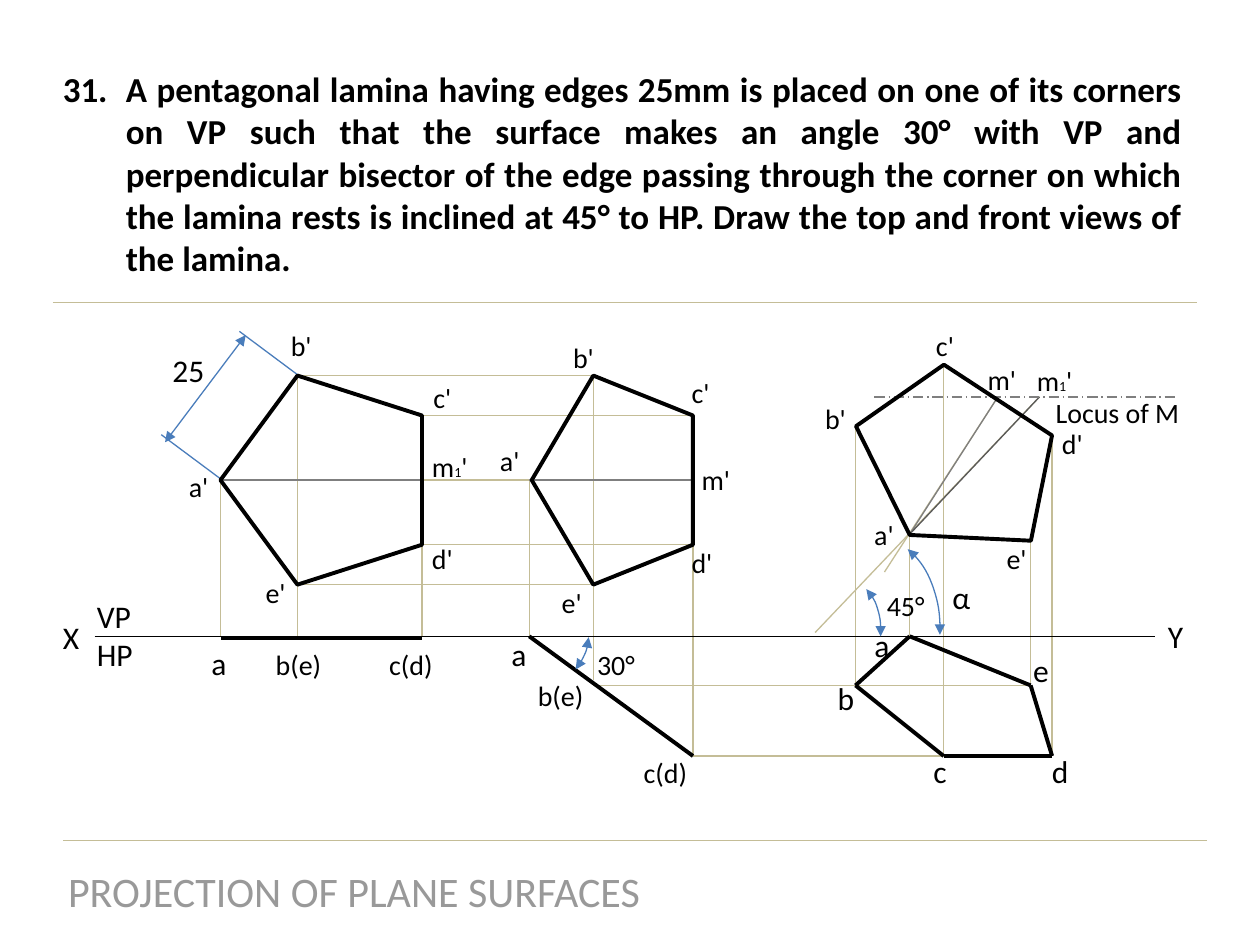
import pptx
import pptx.util
import pptx.dml.color
import pptx.enum.dml
import pptx.enum.shapes
import pptx.enum.text
import pptx.oxml
import pptx.oxml.ns

INCH = pptx.util.Inches
SHAPE = pptx.enum.shapes.MSO_SHAPE
ALIGN = pptx.enum.text.PP_ALIGN
BLACK, TAN, GRAY, DARK, BLUE, TITLE = "000000", "C4BD97", "7F7F7F", "595959", "4A7DBB", "999999"

TITLE_TEXT = "PROJECTION OF PLANE SURFACES"
PROBLEM = (
    "A pentagonal lamina having edges 25mm is placed on one of its corners on VP such that "
    "the surface makes an angle 30° with VP and perpendicular bisector of the edge passing "
    "through the corner on which the lamina rests is inclined at 45° to HP. Draw the top and "
    "front views of the lamina."
)

FLAT = {"a": 1.75, "b": 2.36, "c": 3.35}
TILTED = {"a": 4.2, "b": 4.71, "c": 5.5}
FINAL = {"a": 7.22, "b": 6.79, "c": 7.49, "d": 8.35, "e": 8.18}
FRONT = {"b": 2.98, "c": 3.3, "a": 3.81, "d": 4.32, "e": 4.64}
FINAL_FRONT = {"a": 4.25, "b": 3.38, "c": 2.9, "d": 3.46, "e": 4.29}
TOP = {"a": 5.05, "b": 5.44, "c": 6, "d": 6, "e": 5.44}
XY, LOCUS = 5.05, 3.15

RULES = [(0.42, 2.4, 9.5, 2.4), (0.5, 6.67, 9.58, 6.67)]
PROJECTORS = (
    [(FLAT[k], XY, FLAT[k], FRONT[v]) for k, v in (("a", "a"), ("b", "b"), ("c", "d"))]
    + [(TILTED[k], y, TILTED[k], FRONT[k]) for k, y in (("a", XY), ("b", 5.4), ("c", 6))]
    + [(FLAT[k], FRONT[v], TILTED[k], FRONT[v]) for k, v in ("aa", "bb", "be", "cc", "cd")]
    + [(FINAL[k], TOP[k], FINAL[k], FINAL_FRONT[k]) for k in "abcde"]
    + [(TILTED["b"], TOP["b"], FINAL["e"], TOP["e"]), (TILTED["c"], TOP["c"], FINAL["d"], TOP["d"])]
    + [(7.02, 4.54, 7.92, LOCUS), (6.47, 5.02, 8.25, LOCUS)]
)
BISECTORS = [(v["a"], FRONT["a"], v["c"], FRONT["a"]) for v in (FLAT, TILTED)]
BISECTORS.append((FINAL["a"], 4.24, 7.92, LOCUS))
EDGES = [(FINAL[p], TOP[p], FINAL[q], TOP[q]) for p, q in ("ab", "bc", "cd", "de", "ea")]
EDGES += [(FLAT["a"], 5.06, FLAT["c"], 5.06), (TILTED["a"], XY, TILTED["c"], TOP["c"])]

LINES = [
    (RULES + PROJECTORS, TAN, 0.75, {}),
    ([(0.75, XY, 9.17, XY)], BLACK, 0.75, {}),
    (BISECTORS, GRAY, 0.75, {}),
    ([(FINAL["a"], 4.24, 8.25, LOCUS)], DARK, 0.75, {}),
    ([(6.94, LOCUS, 9.33, LOCUS)], GRAY, 0.75, {"dash": True}),
    ([(1.9, 2.63, 2.37, 2.98), (1.28, 3.45, 1.75, 3.8)], BLUE, 0.75, {}),
    ([(1.95, 2.66, 1.31, 3.51)], BLUE, 0.75, {"arrows": True}),
    (EDGES, BLACK, 2.25, {}),
]
PENTAGONS = [((1.72, 3.01, 1.66, 1.6), 270), ((4.03, 3.17, 1.66, 1.28), 270), ((6.74, 3.07, 1.66, 1.28), 213.2)]
ARCS = [
    ((4.07, 4.79, 0.51, 0.83), 46.1, (291, 338)),
    ((6.48, 4.62, 0.51, 0.83), 3.4, (288, 0.32)),
    ((6.42, 4.27, 1.04, 1.53), 3.4, (288, 357)),
]
LABELS = {
    16: [
        ("a'", 1.4, 3.68), ("b'", 2.21, 2.56), ("c'", 3.34, 2.97), ("d'", 3.33, 4.25), ("e'", 2.01, 4.52),
        ("a'", 3.87, 3.47), ("b'", 4.45, 2.65), ("c'", 5.39, 2.93), ("d'", 5.39, 4.28), ("e'", 4.36, 4.6),
        ("a'", 6.84, 4.06), ("b'", 6.45, 3.14), ("c'", 7.33, 2.56), ("d'", 8.33, 3.34), ("e'", 7.89, 4.25),
        ("b(e)", 2.09, 5.09), ("c(d)", 2.99, 5.09), ("b(e)", 4.17, 5.34), ("c(d)", 5.01, 5.95),
        ("m'", 5.47, 3.62), ("m'", 7.74, 2.83), ("m1'", 3.33, 3.52), ("m1'", 8.13, 2.84),
        ("30°", 4.64, 5.09), ("45°", 6.94, 4.62), ("Locus of M", 8.28, 3.09),
    ],
    18: [
        ("X", 0.4, 4.86), ("Y", 9.17, 4.85), ("VP\nHP", 0.67, 4.69), ("25", 1.27, 2.74), ("α", 7.46, 4.54),
        ("a", 1.58, 5.06), ("a", 3.96, 4.99), ("a", 6.84, 4.92), ("b", 6.55, 5.34), ("c", 7.31, 5.92),
        ("d", 8.25, 5.92), ("e", 8.1, 5.12),
    ],
}
WIDTHS = {"a'": 0.36, "b'": 0.37, "c'": 0.35, "d'": 0.37, "e'": 0.36, "b(e)": 0.57, "c(d)": 0.55, "m'": 0.43,
          "m1'": 0.49, "30°": 0.56, "45°": 0.56, "Locus of M": 1.2, "X": 0.33, "Y": 0.32, "VP\nHP": 0.49,
          "25": 0.46, "α": 0.56}


def rgb(value):
    """Return the colour for a hex string."""
    return pptx.dml.color.RGBColor.from_string(value)


def add_element(parent, tag, **attrs):
    """Append a drawing element with attributes and return it."""
    el = pptx.oxml.parse_xml(f"<a:{tag} {pptx.oxml.ns.nsdecls('a')}/>")
    for key, value in attrs.items():
        el.set(key, value)
    parent.append(el)
    return el


def style_line(s, color, width, dash=False, arrows=False):
    """Format an outline."""
    s.line.color.rgb = rgb(color)
    s.line.width = pptx.util.Pt(width)
    if dash:
        s.line.dash_style = pptx.enum.dml.MSO_LINE.LONG_DASH_DOT
    if arrows:
        for end in ("headEnd", "tailEnd"):
            add_element(s.line._get_or_add_ln(), end, type="triangle")


def add_line(shapes, ends, color, width, **options):
    """Draw a straight connector."""
    s = shapes.add_connector(pptx.enum.shapes.MSO_CONNECTOR.STRAIGHT, *map(INCH, ends))
    style_line(s, color, width, **options)
    add_element(s._element.spPr, "effectLst")


def add_outline(shapes, kind, box, rotation, width, color, **options):
    """Draw an unfilled rotated preset shape."""
    s = shapes.add_shape(kind, *map(INCH, box))
    s.rotation = rotation
    s.shadow.inherit = False
    s.fill.background()
    style_line(s, color, width, **options)
    return s


def format_frame(tf, wrap):
    """Set wrapping, anchor and margins."""
    values = {
        "word_wrap": wrap,
        "auto_size": pptx.enum.text.MSO_AUTO_SIZE.NONE,
        "vertical_anchor": pptx.enum.text.MSO_ANCHOR.TOP,
        "margin_left": INCH(0.1), "margin_right": INCH(0.1),
        "margin_top": INCH(0.05), "margin_bottom": INCH(0.05),
    }
    for key, value in values.items():
        setattr(tf, key, value)


def add_run(p, text, size, color=BLACK, bold=False):
    """Add a formatted run."""
    r = p.add_run()
    r.text = text
    for key, value in {"name": "Calibri", "size": pptx.util.Pt(size), "bold": bold}.items():
        setattr(r.font, key, value)
    r.font.color.rgb = rgb(color)


def add_label(shapes, text, left, top, size):
    """Place a point or value label."""
    rows = text.split("\n")
    height = 0.37 if size == 16 else 0.09 + 0.31 * len(rows)
    tf = shapes.add_textbox(*map(INCH, (left, top, WIDTHS.get(text, 0.28), height))).text_frame
    format_frame(tf, False)
    for i, row in enumerate(rows):
        p = tf.add_paragraph() if i else tf.paragraphs[0]
        parts = [("m", size), ("1", 8), ("'", size)] if row == "m1'" else [(row, size)]
        for part, part_size in parts:
            add_run(p, part, part_size)


def main():
    """Build the slide."""
    prs = pptx.Presentation()
    prs.slide_width, prs.slide_height = INCH(10), INCH(7.5)
    slide = prs.slides.add_slide(prs.slide_layouts[5])
    shapes = slide.shapes

    title = shapes.title
    for key, value in zip(("left", "top", "width", "height"), (0.42, 6.82, 4.78, 0.5)):
        setattr(title, key, INCH(value))
    format_frame(title.text_frame, False)
    p = title.text_frame.paragraphs[0]
    p.alignment = ALIGN.CENTER
    add_run(p, TITLE_TEXT, 24, TITLE)

    tf = shapes.add_textbox(*map(INCH, (0.4, 0.49, 9.08, 1.78))).text_frame
    format_frame(tf, True)
    p = tf.paragraphs[0]
    p.alignment = ALIGN.JUSTIFY
    pPr = p._p.get_or_add_pPr()
    pPr.set("marL", str(INCH(0.5)))
    pPr.set("indent", str(-INCH(0.5)))
    add_element(add_element(pPr, "buClr"), "srgbClr", val=BLACK)
    add_element(pPr, "buFont", typeface="+mj-lt")
    add_element(pPr, "buAutoNum", type="arabicPeriod", startAt="31")
    add_run(p, PROBLEM, 20, bold=True)

    for group, color, width, options in LINES:
        for ends in group:
            add_line(shapes, ends, color, width, **options)
    for box, rotation in PENTAGONS:
        add_outline(shapes, SHAPE.REGULAR_PENTAGON, box, rotation, 2.25, BLACK)
    for box, rotation, angles in ARCS:
        s = add_outline(shapes, SHAPE.ARC, box, rotation, 0.75, BLUE, arrows=True)
        for i, angle in enumerate(angles):
            s.adjustments[i] = angle * 0.6
    for size, labels in LABELS.items():
        for label in labels:
            add_label(shapes, *label, size)
    prs.save("out.pptx")


if __name__ == "__main__":
    main()
